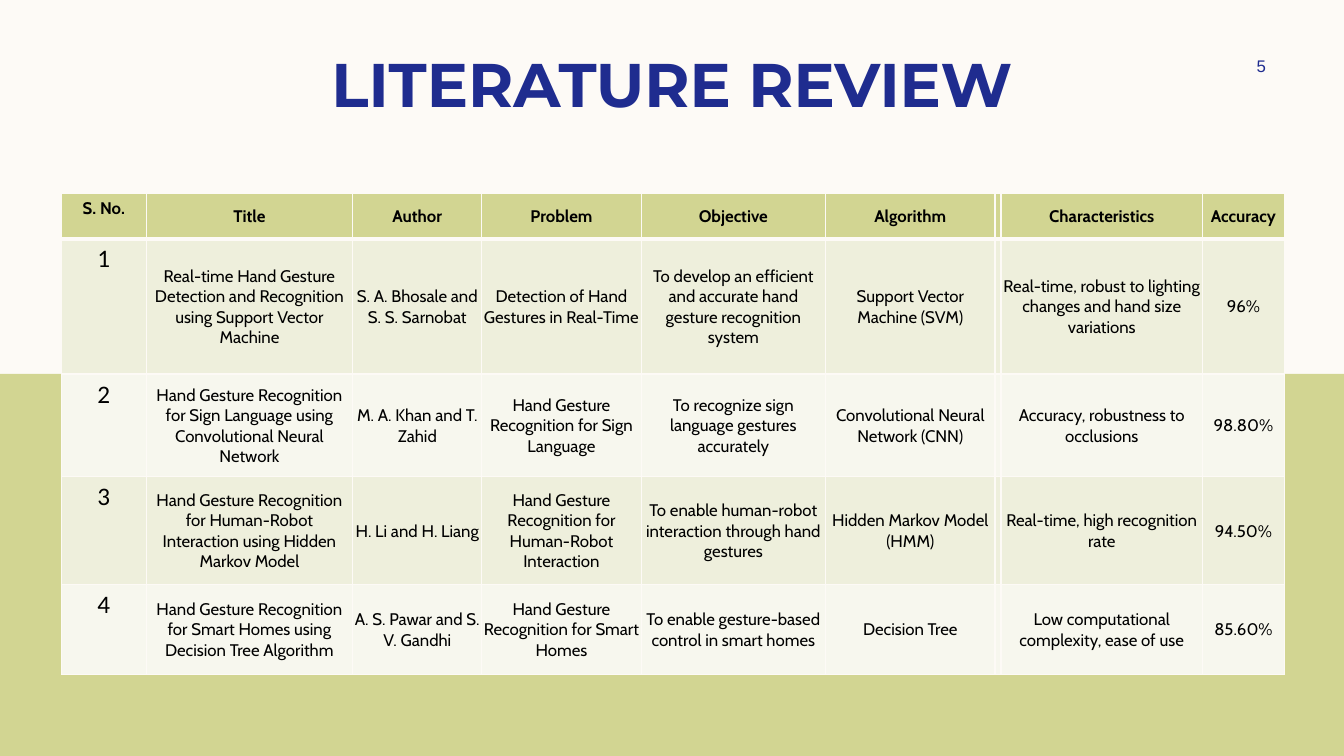
import pptx
import pptx.dml.color
import pptx.enum.shapes
import pptx.enum.text
import pptx.oxml
import pptx.oxml.ns
import pptx.util

Inches = pptx.util.Inches
Pt = pptx.util.Pt
MIDDLE = pptx.enum.text.MSO_ANCHOR.MIDDLE
TOP = pptx.enum.text.MSO_ANCHOR.TOP
CENTER = pptx.enum.text.PP_ALIGN.CENTER

COLORS = {
    "cream": "FDFAF6",
    "olive": "D2D592",
    "navy": "1F2C8F",
    "black": "000000",
    "odd_row": "EEEFDC",
    "even_row": "F7F7EE",
}


def write_text(text_frame, text, font_name, size, color, bold=False):
    text_frame.text = text
    text_frame.word_wrap = True
    paragraph = text_frame.paragraphs[0]
    paragraph.alignment = CENTER
    for run in paragraph.runs:
        run.font.name = font_name
        run.font.size = Pt(size)
        run.font.bold = bold
        run.font.color.rgb = pptx.dml.color.RGBColor.from_string(COLORS[color])


def set_border(cell, side, width):
    namespace = pptx.oxml.ns.nsdecls("a")
    line = pptx.oxml.parse_xml(
        f'<a:ln{side} {namespace} w="{Pt(width)}"><a:solidFill>'
        f'<a:srgbClr val="{COLORS["cream"]}"/></a:solidFill></a:ln{side}>'
    )
    cell._tc.get_or_add_tcPr().append(line)


presentation = pptx.Presentation()
presentation.slide_width = Inches(13.33)
presentation.slide_height = Inches(7.5)
slide = presentation.slides.add_slide(presentation.slide_layouts[5])

# Background and lower band
background = slide.background.fill
background.solid()
background.fore_color.rgb = pptx.dml.color.RGBColor.from_string(COLORS["cream"])
band = slide.shapes.add_shape(
    pptx.enum.shapes.MSO_SHAPE.RECTANGLE,
    Inches(-0.03), Inches(3.71), Inches(13.36), Inches(3.79),
)
band.shadow.inherit = False
band.fill.solid()
band.fill.fore_color.rgb = pptx.dml.color.RGBColor.from_string(COLORS["olive"])
band.line.fill.background()

# Title
title = slide.shapes.title
title.left, title.top = Inches(0.83), Inches(0.4)
title.width, title.height = Inches(11.67), Inches(0.84)
title.text_frame.vertical_anchor = MIDDLE
write_text(title.text_frame, "LITERATURE REVIEW", "Montserrat", 44, "navy", True)

# Page number
page_number = slide.shapes.add_textbox(Inches(11.97), Inches(0.5), Inches(1.08), Inches(0.3))
page_number.text_frame.vertical_anchor = MIDDLE
write_text(page_number.text_frame, "5", "Arial", 12, "navy")

# Review table, with a narrow empty column after the algorithm
reviews = [
    ["S. No.", "Title", "Author", "Problem", "Objective", "Algorithm", "",
     "Characteristics", "Accuracy"],
    ["1", "Real-time Hand Gesture Detection and Recognition using Support Vector Machine",
     "S. A. Bhosale and S. S. Sarnobat", "Detection of Hand Gestures in Real-Time",
     "To develop an efficient and accurate hand gesture recognition system",
     "Support Vector Machine (SVM)", "",
     "Real-time, robust to lighting changes and hand size variations", "96%"],
    ["2", "Hand Gesture Recognition for Sign Language using Convolutional Neural Network",
     "M. A. Khan and T. Zahid", "Hand Gesture Recognition for Sign Language",
     "To recognize sign language gestures accurately",
     "Convolutional Neural Network (CNN)", "",
     "Accuracy, robustness to occlusions", "98.80%"],
    ["3", "Hand Gesture Recognition for Human-Robot Interaction using Hidden Markov Model",
     "H. Li and H. Liang", "Hand Gesture Recognition for Human-Robot Interaction",
     "To enable human-robot interaction through hand gestures",
     "Hidden Markov Model (HMM)", "",
     "Real-time, high recognition rate", "94.50%"],
    ["4", "Hand Gesture Recognition for Smart Homes using Decision Tree Algorithm",
     "A. S. Pawar and S. V. Gandhi", "Hand Gesture Recognition for Smart Homes",
     "To enable gesture-based control in smart homes", "Decision Tree", "",
     "Low computational complexity, ease of use", "85.60%"],
]
column_widths = [0.84, 2.05, 1.28, 1.58, 1.83, 1.68, 0.05, 2, 0.81]
row_heights = [0.45, 1.34, 1.02, 1.07, 0.89]
table = slide.shapes.add_table(
    len(reviews), len(column_widths),
    Inches(0.61), Inches(1.92), Inches(12.11), Inches(4.79),
).table
for column, width in zip(table.columns, column_widths):
    column.width = Inches(width)
for row, height in zip(table.rows, row_heights):
    row.height = Inches(height)

for row_index, review in enumerate(reviews):
    is_header = row_index == 0
    row_color = "olive" if is_header else ("even_row", "odd_row")[row_index % 2]
    border_widths = {
        "L": 1, "R": 1,
        "T": 3 if row_index == 1 else 1,
        "B": 3 if is_header else 1,
    }
    for column_index, text in enumerate(review):
        cell = table.cell(row_index, column_index)
        is_number = column_index == 0
        if not is_number:
            cell.margin_left = cell.margin_right = cell.margin_top = Inches(0.01)
            cell.margin_bottom = 0
        cell.vertical_anchor = TOP if is_number else MIDDLE
        for side, width in border_widths.items():
            set_border(cell, side, width)
        cell.fill.solid()
        cell.fill.fore_color.rgb = pptx.dml.color.RGBColor.from_string(COLORS[row_color])
        if is_number and not is_header:
            write_text(cell.text_frame, text, "Calibri", 18, "black")
        else:
            write_text(cell.text_frame, text, "Cabin", 12, "black", is_header)

presentation.save("out.pptx")
